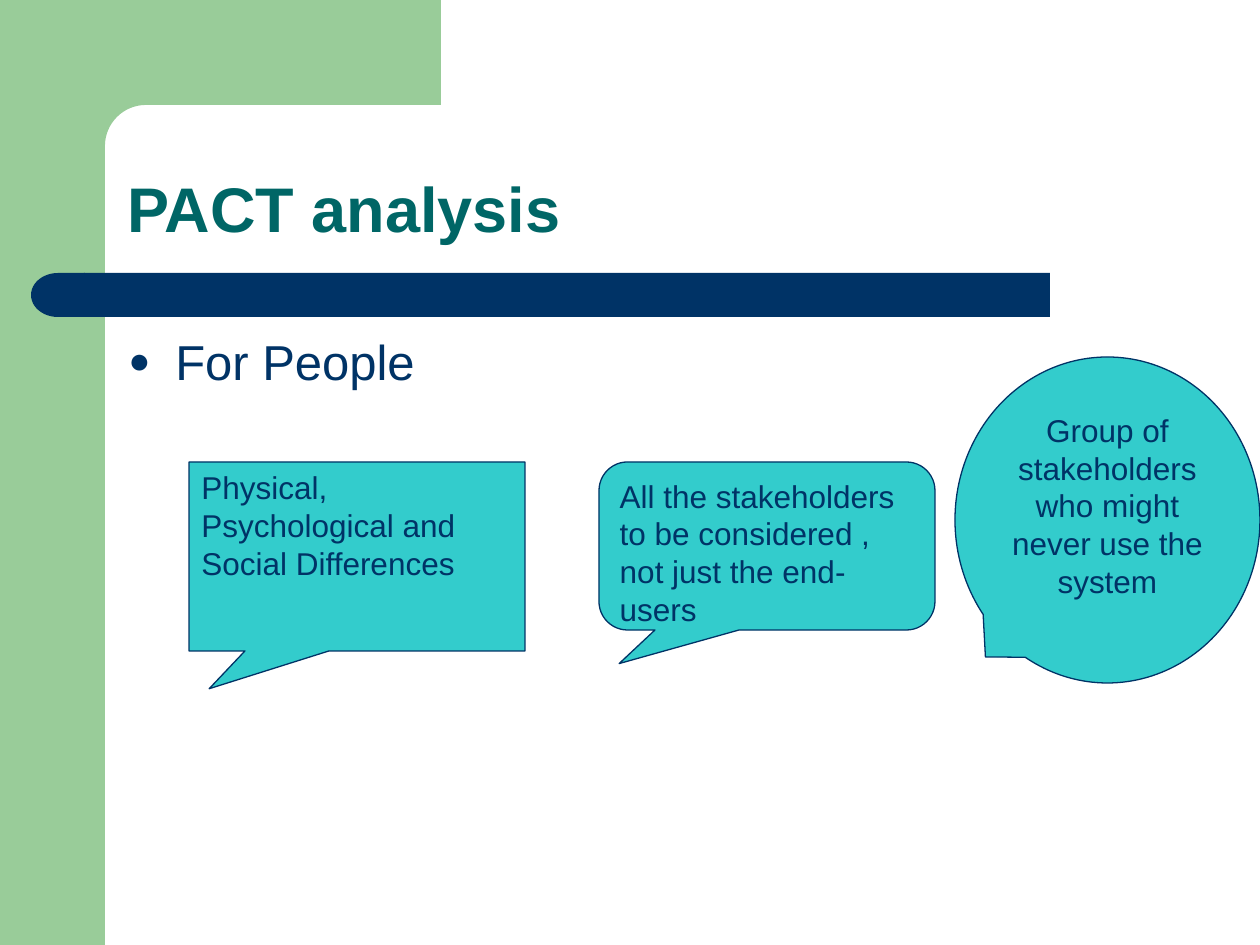
"""Builds the PACT analysis slide with three callouts about people."""
import math

import pptx
import pptx.dml.color
import pptx.enum.shapes
import pptx.enum.text
import pptx.oxml
import pptx.oxml.ns
import pptx.util

SHAPES = pptx.enum.shapes.MSO_SHAPE
ALIGN = pptx.enum.text.PP_ALIGN
ANCHOR = pptx.enum.text.MSO_ANCHOR
SCALE = 914400 / 126
GREEN, NAVY, TEAL, AQUA = "99CC99", "003366", "006666", "33CCCC"

TITLE = ("PACT analysis", (115, 115, 1072, 137))
BULLET = ("For People", (116, 325, 1060, 513))
CALLOUTS = [
    ("Physical, Psychological and Social Differences", SHAPES.RECTANGULAR_CALLOUT,
     (189, 462, 336, 189), (-0.44, 0.7), ALIGN.LEFT),
    ("All the stakeholders to be considered , not just the end-users",
     SHAPES.ROUNDED_RECTANGULAR_CALLOUT,
     (599, 462, 336, 168), (-0.44, 0.7, 0.17), ALIGN.LEFT),
    ("Group of stakeholders who might never use the system", SHAPES.OVAL_CALLOUT,
     (955, 357, 305, 326), (-0.4, 0.42), ALIGN.CENTER),
]
SIDEBAR = (0, 0, 105, 945)
BAR = (84, 273, 966, 44)
BAR_CAP = (31, 273, 54, 44)
BAND_LEFT, BAND_RIGHT, BAND_BOTTOM = 63, 441, 161
CORNER_X, CORNER_Y, CORNER_RADIUS = 105, 105, 41


def px(length):
    return pptx.util.Emu(round(length * SCALE))


def color(value):
    return pptx.dml.color.RGBColor.from_string(value)


def paint(shape, fill, line=None):
    shape.shadow.inherit = False
    shape.fill.solid()
    shape.fill.fore_color.rgb = color(fill)
    if line:
        shape.line.color.rgb = color(line)
        shape.line.width = pptx.util.Pt(0.75)
    else:
        shape.line.fill.background()


def add_block(slide, kind, box, fill, line=None, adjustments=()):
    block = slide.shapes.add_shape(kind, *map(px, box))
    paint(block, fill, line)
    for index, value in enumerate(adjustments):
        block.adjustments[index] = value
    return block


def write(shape, text, size=18, ink=NAVY, bold=False, align=ALIGN.LEFT, anchor=ANCHOR.TOP):
    frame = shape.text_frame
    frame.word_wrap = True
    frame.auto_size = pptx.enum.text.MSO_AUTO_SIZE.NONE
    frame.vertical_anchor = anchor
    frame.margin_left = frame.margin_right = pptx.util.Inches(0.1)
    frame.margin_top = frame.margin_bottom = pptx.util.Inches(0.05)
    paragraph = frame.paragraphs[0]
    paragraph.alignment = align
    run = paragraph.add_run()
    run.text = text
    run.font.name = "Arial"
    run.font.size = pptx.util.Pt(size)
    run.font.bold = bold
    run.font.color.rgb = color(ink)
    return paragraph


def add_bullet(paragraph, character, size, ink, indent):
    properties = paragraph._p.get_or_add_pPr()
    properties.set("marL", str(px(indent)))
    properties.set("indent", str(-px(indent)))
    namespace = pptx.oxml.ns.nsdecls("a")
    for element in (
        f'<a:buClr {namespace}><a:srgbClr val="{ink}"/></a:buClr>',
        f'<a:buSzPct {namespace} val="{size * 1000}"/>',
        f'<a:buFont {namespace} typeface="Arial"/>',
        f'<a:buChar {namespace} char="{character}"/>',
    ):
        properties.append(pptx.oxml.parse_xml(element))


def add_band(slide):
    steps = 16
    angles = [math.pi / 2 * step / steps for step in range(steps + 1)]
    curve = [(CORNER_X + CORNER_RADIUS * (1 - math.sin(angle)),
              CORNER_Y + CORNER_RADIUS * (1 - math.cos(angle))) for angle in angles]
    outline = [(BAND_RIGHT, CORNER_Y), *curve, (CORNER_X, BAND_BOTTOM),
               (BAND_LEFT, BAND_BOTTOM), (BAND_LEFT, 0)]
    builder = slide.shapes.build_freeform(px(BAND_RIGHT), 0)
    builder.add_line_segments([(px(x), px(y)) for x, y in outline], close=True)
    paint(builder.convert_to_shape(), GREEN)


def main():
    deck = pptx.Presentation()
    deck.slide_width, deck.slide_height = px(1260), px(945)
    slide = deck.slides.add_slide(deck.slide_layouts[5])

    add_block(slide, SHAPES.RECTANGLE, SIDEBAR, GREEN)
    add_band(slide)
    add_block(slide, SHAPES.RECTANGLE, BAR, NAVY)
    cap = add_block(slide, SHAPES.FLOWCHART_DELAY, BAR_CAP, NAVY)
    cap._element.spPr.xfrm.set("flipH", "1")

    text, box = TITLE
    title = slide.shapes.title
    title.left, title.top, title.width, title.height = map(px, box)
    heading = write(title, text, size=36, ink=TEAL, bold=True, anchor=ANCHOR.BOTTOM)
    heading.line_spacing = 0.9

    text, box = BULLET
    point = write(slide.shapes.add_textbox(*map(px, box)), text, size=28)
    point.space_before = pptx.util.Pt(7)
    add_bullet(point, "●", 75, NAVY, 47)

    for text, kind, box, adjustments, align in CALLOUTS:
        write(add_block(slide, kind, box, AQUA, NAVY, adjustments), text, align=align)

    deck.save("out.pptx")


if __name__ == "__main__":
    main()
